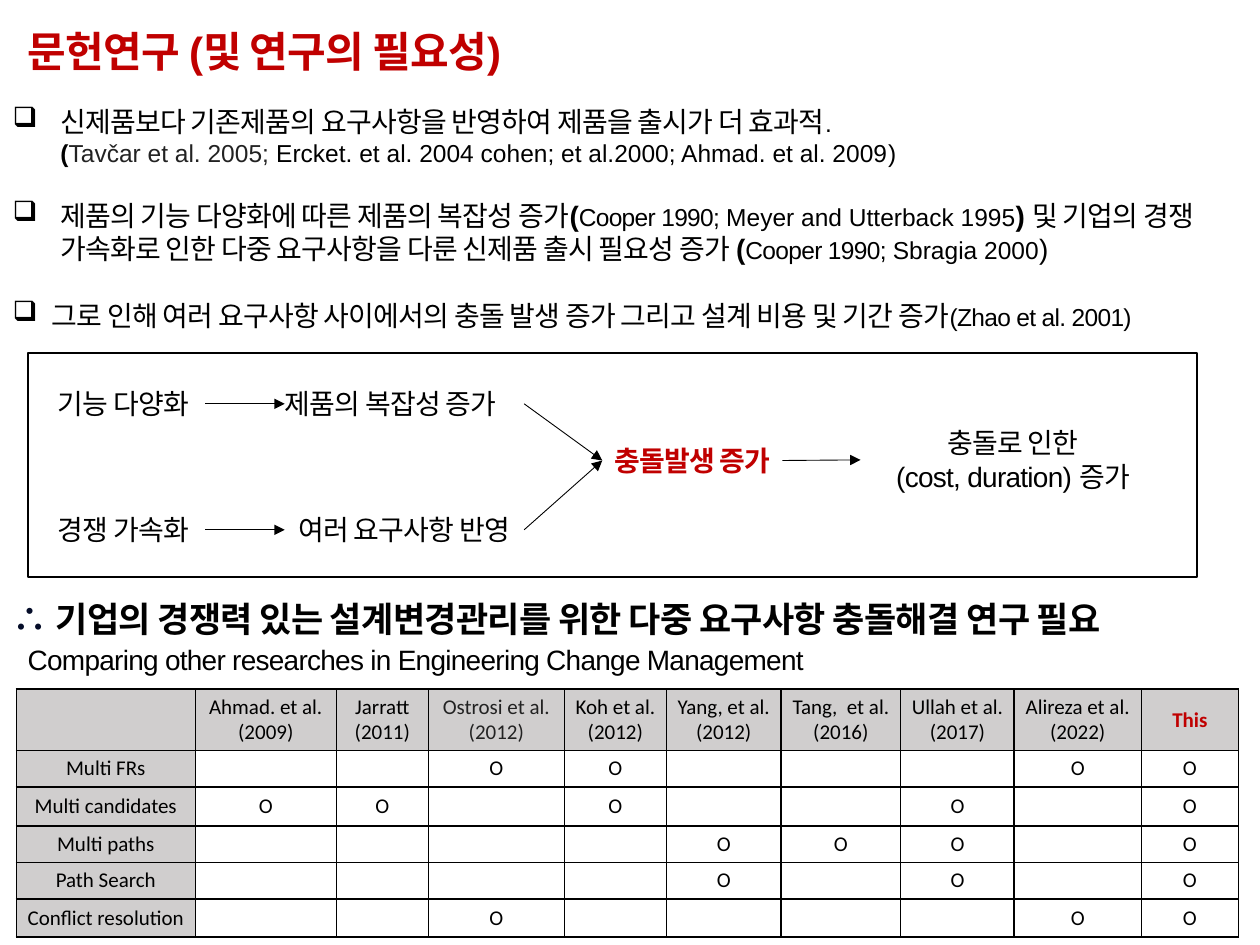
from lxml import etree
from pptx import Presentation
from pptx.dml.color import RGBColor
from pptx.enum.shapes import MSO_CONNECTOR, MSO_SHAPE
from pptx.enum.text import MSO_ANCHOR, MSO_AUTO_SIZE, PP_ALIGN
from pptx.oxml.ns import qn
from pptx.util import Inches, Pt

STRAIGHT = MSO_CONNECTOR.STRAIGHT
RECTANGLE = MSO_SHAPE.RECTANGLE
TOP, MIDDLE = MSO_ANCHOR.TOP, MSO_ANCHOR.MIDDLE
NO_AUTOFIT = MSO_AUTO_SIZE.NONE
LEFT, CENTER = PP_ALIGN.LEFT, PP_ALIGN.CENTER

COLORS = {"black": "000000", "red": "C00000", "gray": "222222",
          "navy": "040C28", "header": "D0CECE", "white": "FFFFFF"}

BULLETS = [
    (0.38, 0, [
        ("신제품보다 기존제품의 요구사항을 반영하여 제품을 출시가 더 효과적", {}),
        (".", {"size": 14}),
        ("\n", {}),
        ("(", {"size": 14, "bold": True}),
        ("Tavčar et al. 2005; ", {"size": 14, "color": "gray", "spacing": 0}),
        ("Ercket. et al. 2004 cohen; et al.2000; Ahmad. et al. 2009", {"size": 14, "spacing": 0}),
        (")", {"size": 14}),
    ]),
    (0.38, 17.5, [
        ("제품의 기능 다양화에 따른 제품의 복잡성 증가", {}),
        ("(", {"bold": True}),
        ("Cooper 1990; ", {"size": 14}),
        ("Meyer and Utterback 1995", {"size": 14, "spacing": 0}),
        (") ", {"bold": True}),
        ("및 기업의 경쟁 가속화로 인한 다중 요구사항을 다룬 신제품 출시 필요성 증가 ", {}),
        ("(", {"bold": True}),
        ("Cooper 1990; ", {"size": 14}),
        ("Sbragia 2000", {"size": 14, "spacing": 0}),
        (")", {}),
    ]),
    (0.31, 19, [
        ("그로 인해 여러 요구사항 사이에서의 충돌 발생 증가 그리고 설계 비용 및 기간 증가", {}),
        ("(Zhao et al. 2001)", {"size": 14}),
    ]),
]

STUDIES = [("Ahmad. et al.", "(2009)"), ("Jarratt", "(2011)"), ("Ostrosi et al.", "(2012)"),
           ("Koh et al.", "(2012)"), ("Yang, et al.", "(2012)"), ("Tang,  et al.", "(2016)"),
           ("Ullah et al.", "(2017)"), ("Alireza et al.", "(2022)"), ("This",)]
COVERAGE = [("Multi FRs", (3, 4, 8, 9)), ("Multi candidates", (1, 2, 4, 7, 9)),
            ("Multi paths", (5, 6, 7, 9)), ("Path Search", (5, 7, 9)),
            ("Conflict resolution", (3, 8, 9))]
COL_WIDTHS = [1.42, 1.12, 0.73, 1.08, 0.81, 0.91, 0.95, 0.9, 1.01, 0.77]
ROW_HEIGHTS = [0.47, 0.29, 0.31, 0.29, 0.29, 0.3]


def rgb(name):
    """Return the named colour."""
    return RGBColor.from_string(COLORS[name])


def add_run(p, text, size=16, color="black", bold=False, spacing=-0.4, font="Arial"):
    """Append one formatted run to a paragraph."""
    r = p.add_run()
    r.text = text
    r.font.name, r.font.size, r.font.bold = font, Pt(size), bold
    r.font.color.rgb = rgb(color)
    if spacing:
        r._r.get_or_add_rPr().set("spc", str(round(spacing * 100)))


def add_lines(tf, lines, align=LEFT, **style):
    """Write one paragraph per line with a shared style."""
    for i, line in enumerate(lines):
        p = tf.add_paragraph() if i else tf.paragraphs[0]
        p.alignment = align
        add_run(p, line, **style)


def prepare_frame(tf):
    """Give a text frame zero margins, wrapping and a top anchor."""
    tf.margin_left = tf.margin_top = tf.margin_right = tf.margin_bottom = 0
    tf.word_wrap, tf.auto_size, tf.vertical_anchor = True, NO_AUTOFIT, TOP


def add_text(slide, box, *lines, **style):
    """Add a text box holding the given lines."""
    sp = slide.shapes.add_textbox(*map(Inches, box))
    prepare_frame(sp.text_frame)
    add_lines(sp.text_frame, lines, **style)
    return sp


def set_title(slide):
    """Place and format the title placeholder."""
    sp = slide.shapes.title
    sp.left, sp.top, sp.width, sp.height = map(Inches, (0.22, 0.2, 4.33, 0.4))
    prepare_frame(sp.text_frame)
    add_lines(sp.text_frame, ["문헌연구 (및 연구의 필요성)"], size=24, color="red", bold=True)


def add_bullets(slide):
    """Add the bulleted literature findings."""
    tf = add_text(slide, (0.1, 0.83, 9.9, 1.85)).text_frame
    for i, (indent, gap, runs) in enumerate(BULLETS):
        p = tf.add_paragraph() if i else tf.paragraphs[0]
        if gap:
            p.space_before = Pt(gap)
        pPr = p._p.get_or_add_pPr()
        pPr.set("marL", str(Inches(indent)))
        pPr.set("indent", str(-Inches(indent)))
        etree.SubElement(pPr, qn("a:buChar")).set("char", "❑")
        for text, style in runs:
            if text == "\n":
                p.add_line_break()
            else:
                add_run(p, text, **style)


def add_arrow(slide, start, end):
    """Join the right side of one box to the left side of another."""
    cxn = slide.shapes.add_connector(STRAIGHT, 0, 0, 0, 0)
    cxn.begin_connect(start, 3)
    cxn.end_connect(end, 1)
    cxn.line.color.rgb, cxn.line.width = rgb("black"), Pt(0.5)
    etree.SubElement(cxn.line._get_or_add_ln(), qn("a:tailEnd")).set("type", "triangle")
    etree.SubElement(cxn._element.spPr, qn("a:effectLst"))


def add_flow(slide):
    """Add the framed cause-and-effect diagram."""
    frame = slide.shapes.add_shape(RECTANGLE, *map(Inches, (0.22, 2.8, 9.28, 1.78)))
    frame.shadow.inherit = False
    frame.fill.background()
    frame.line.color.rgb, frame.line.width = rgb("black"), Pt(1)
    conflict = add_text(slide, (4.78, 3.52, 1.43, 0.27), "충돌발생 증가",
                        align=CENTER, color="red", bold=True)
    effect = add_text(slide, (6.83, 3.38, 2.42, 0.54), "충돌로 인한",
                      "(cost, duration) 증가", align=CENTER)
    for y, cause, result, align in [(3.07, "기능 다양화", "제품의 복잡성 증가", LEFT),
                                    (4.07, "경쟁 가속화", "여러 요구사항 반영", CENTER)]:
        source = add_text(slide, (0.46, y, 1.17, 0.27), cause)
        target = add_text(slide, (2.26, y, 1.9, 0.27), result, align=align)
        add_arrow(slide, source, target)
        add_arrow(slide, target, conflict)
    add_arrow(slide, conflict, effect)


def add_borders(cell):
    """Draw a thin black line on each side of a cell."""
    tcPr = cell._tc.get_or_add_tcPr()
    for i, side in enumerate(("lnL", "lnR", "lnT", "lnB")):
        ln = etree.Element(qn(f"a:{side}"), w=str(Pt(1)))
        fill = etree.SubElement(ln, qn("a:solidFill"))
        etree.SubElement(fill, qn("a:srgbClr")).set("val", COLORS["black"])
        tcPr.insert(i, ln)


def fill_cell(cell, lines, fill, color="black", bold=False):
    """Write and format one table cell."""
    cell.fill.solid()
    cell.fill.fore_color.rgb = rgb(fill)
    cell.vertical_anchor = MIDDLE
    cell.margin_left = cell.margin_right = Inches(0.07)
    cell.margin_top = cell.margin_bottom = Inches(0.04)
    add_borders(cell)
    add_lines(cell.text_frame, lines, align=CENTER, size=12, color=color, bold=bold,
              spacing=0, font="Calibri")
    if not lines:
        cell.text_frame.paragraphs[0]._p.get_or_add_endParaRPr().set("sz", "1200")


def add_comparison(slide):
    """Add the table comparing earlier studies."""
    box = (0.13, 5.47, sum(COL_WIDTHS), sum(ROW_HEIGHTS))
    table = slide.shapes.add_table(len(ROW_HEIGHTS), len(COL_WIDTHS), *map(Inches, box)).table
    for col, width in zip(table.columns, COL_WIDTHS):
        col.width = Inches(width)
    for row, height in zip(table.rows, ROW_HEIGHTS):
        row.height = Inches(height)
    colors = {3: "gray", 9: "red"}
    for c, lines in enumerate([(), *STUDIES]):
        fill_cell(table.cell(0, c), lines, "header", colors.get(c, "black"), c == 9)
    for r, (topic, marked) in enumerate(COVERAGE, 1):
        fill_cell(table.cell(r, 0), [topic], "header")
        for c in range(1, len(COL_WIDTHS)):
            fill_cell(table.cell(r, c), ["O"] if c in marked else [], "white")


def main():
    """Build and save the slide."""
    prs = Presentation()
    prs.slide_width, prs.slide_height = Inches(10), Inches(7.5)
    slide = prs.slides.add_slide(prs.slide_layouts[5])
    set_title(slide)
    add_bullets(slide)
    add_flow(slide)
    p = add_text(slide, (0.1, 4.74, 9.9, 0.34)).text_frame.paragraphs[0]
    add_run(p, "∴ ", size=20, color="navy", bold=True, spacing=0, font="Lato")
    add_run(p, "기업의 경쟁력 있는 설계변경관리를 위한 다중 요구사항 충돌해결 연구 필요", size=20, bold=True)
    add_text(slide, (0.22, 5.1, 6.39, 0.27),
             "Comparing other researches in Engineering Change Management")
    add_comparison(slide)
    prs.save("out.pptx")


if __name__ == "__main__":
    main()
